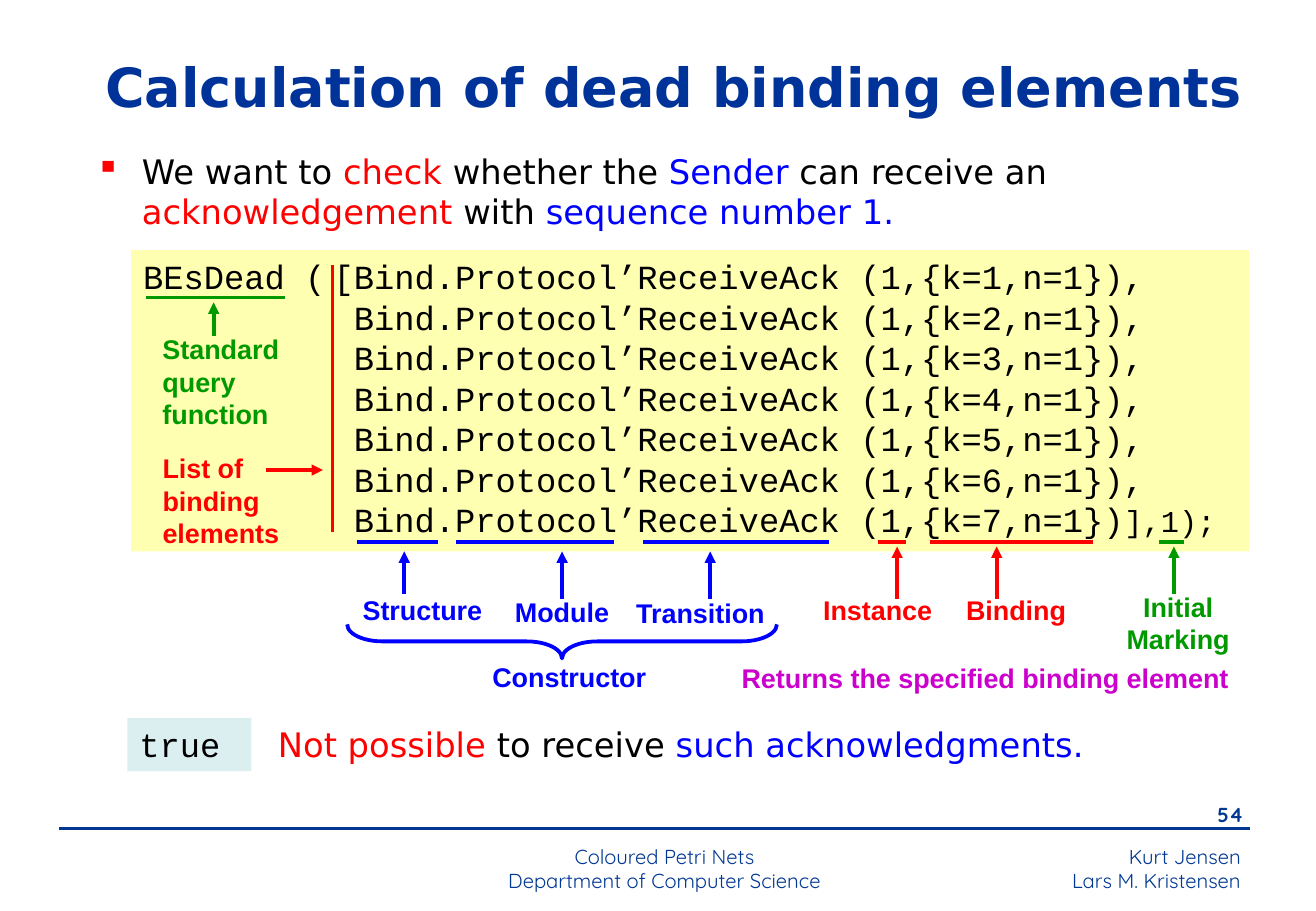
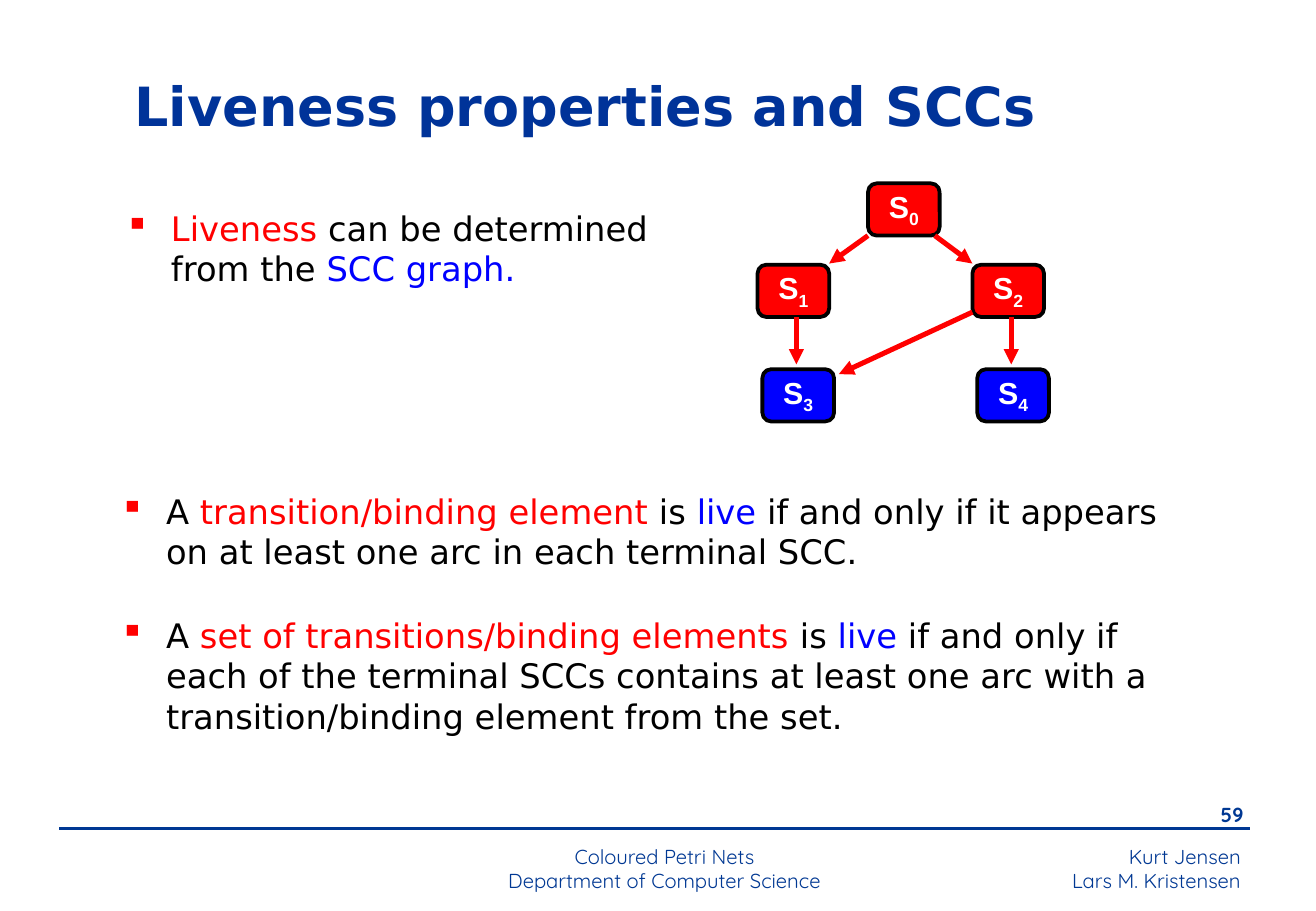
"""Build two slides on dead binding elements and liveness."""
from dataclasses import dataclass
from typing import NamedTuple

from lxml.etree import SubElement
from pptx import Presentation
from pptx.dml.color import RGBColor
from pptx.enum.shapes import MSO_CONNECTOR as Link, MSO_SHAPE as Form
from pptx.enum.text import MSO_ANCHOR as Anchor, PP_ALIGN as Align
from pptx.oxml.ns import qn
from pptx.util import Emu, Pt

SCALE = 9144
WIDE, HIGH = 1084, 750
BLACK, WHITE = "000000", "FFFFFF"
RED, BLUE, GREEN, PINK = "FF0000", "0000FF", "009900", "CC00CC"
NAVY, INK = "003399", "003893"
YELLOW, TEAL = "FFFF66", "BBE0E3"
BULLET = "▪"
HANG = 38
STOP = 157

STYLES = {
    "title": {"name": "DejaVu Sans", "size": Pt(32), "bold": True},
    "body": {"name": "DejaVu Sans", "size": Pt(20), "bold": False},
    "code": {"name": "Courier New", "size": Pt(20), "bold": False},
    "label": {"name": "Arial", "size": Pt(16), "bold": True},
    "node": {"name": "Arial", "size": Pt(18), "bold": True},
    "foot": {"name": "Quicksand", "size": Pt(12), "bold": False},
    "page": {"name": "Quicksand", "size": Pt(12), "bold": True},
}


class Run(NamedTuple):
    """A piece of text in one colour."""
    text: str
    color: str = BLACK
    size: int = 0
    base: int = 0


@dataclass
class Box:
    """A place for text, with an optional form and fill."""
    x: int
    y: int
    w: int
    h: int
    rows: list[list[Run]]
    style: str = "body"
    align: Align = Align.LEFT
    anchor: Anchor = Anchor.TOP
    mark: bool = False
    form: Form | None = None
    fill: str = ""
    alpha: int = 100
    edge: str = ""
    stop: int = 0
    pitch: float = 1.0
    wrap: bool = True


class Line(NamedTuple):
    """A straight line, with or without an arrowhead."""
    x1: int
    y1: int
    x2: int
    y2: int
    color: str
    width: float = 2.25
    arrow: bool = False


def px(count: int) -> Emu:
    """Turn px into EMU."""
    return Emu(count * SCALE)


def tint(code: str) -> RGBColor:
    """Turn a hex string into a colour."""
    return RGBColor.from_string(code)


def write(par, runs: list[Run], style: str) -> None:
    """Add styled runs to a paragraph."""
    for item in runs:
        run = par.add_run()
        run.text = item.text
        for key, value in STYLES[style].items():
            setattr(run.font, key, value)
        run.font.color.rgb = tint(item.color)
        if item.size:
            run.font.size = Pt(item.size)
        if item.base:
            run._r.get_or_add_rPr().set("baseline", str(item.base * 1000))


def dent(par, box: Box) -> None:
    """Set the bullet and the tab stop of a paragraph."""
    props = par._p.get_or_add_pPr()
    if box.mark:
        props.set("marL", str(px(HANG)))
        props.set("indent", str(-px(HANG)))
        paint = SubElement(props, qn("a:buClr"))
        SubElement(paint, qn("a:srgbClr"), val=RED)
        SubElement(props, qn("a:buChar"), char=BULLET)
    if box.stop:
        tabs = SubElement(props, qn("a:tabLst"))
        SubElement(tabs, qn("a:tab"), pos=str(px(box.stop)), algn="l")


def dress(shape, box: Box) -> None:
    """Set the fill and edge of a shape."""
    shape.shadow.inherit = False
    shape.fill.solid()
    shape.fill.fore_color.rgb = tint(box.fill)
    if box.alpha < 100:
        paint = shape._element.spPr.find(qn("a:solidFill")).find(qn("a:srgbClr"))
        SubElement(paint, qn("a:alpha"), val=str(box.alpha * 1000))
    if box.edge:
        shape.line.color.rgb = tint(box.edge)
        shape.line.width = Pt(2.25)
    else:
        shape.line.fill.background()


def place(slide, box: Box) -> None:
    """Draw a box and its text."""
    spot = [px(n) for n in (box.x, box.y, box.w, box.h)]
    if box.form is None:
        shape = slide.shapes.add_textbox(*spot)
    else:
        shape = slide.shapes.add_shape(box.form, *spot)
        dress(shape, box)
    frame = shape.text_frame
    frame.word_wrap = box.wrap
    frame.vertical_anchor = box.anchor
    for num, runs in enumerate(box.rows):
        par = frame.add_paragraph() if num else frame.paragraphs[0]
        par.alignment = box.align
        if box.pitch != 1:
            par.line_spacing = box.pitch
        dent(par, box)
        write(par, runs, box.style)


def rule(slide, line: Line) -> None:
    """Draw a line or an arrow."""
    ends = [px(n) for n in line[:4]]
    shape = slide.shapes.add_connector(Link.STRAIGHT, *ends)
    shape.line.color.rgb = tint(line.color)
    shape.line.width = Pt(line.width)
    if line.arrow:
        SubElement(shape.line._get_or_add_ln(), qn("a:tailEnd"), type="triangle")
    SubElement(shape._element.spPr, qn("a:effectLst"))


def label(slide, x: int, y: int, w: int, h: int, color: str, *rows: str,
          align: Align = Align.CENTER) -> None:
    """Draw a bold label."""
    place(slide, Box(x, y, w, h, [[Run(row, color)] for row in rows], "label", align))


def brace(slide) -> None:
    """Draw the brace under the parts of the constructor."""
    shape = slide.shapes.add_shape(Form.LEFT_BRACE, *[px(n) for n in (449, 351, 28, 354)])
    shape.rotation = 270
    shape.adjustments[0] = 1.04
    shape.shadow.inherit = False
    shape.fill.background()
    shape.line.color.rgb = tint(BLUE)
    shape.line.width = Pt(2.25)


def start(deck, title: Box, page: str):
    """Add a slide with its title and footer."""
    slide = deck.slides.add_slide(deck.slide_layouts[6])
    names = ["Kurt Jensen", "Lars M. Kristensen"]
    course = ["Coloured Petri Nets", "Department of Computer Science"]
    place(slide, Box(695, 690, 337, 50, [[Run(n, INK)] for n in names], "foot", Align.RIGHT))
    place(slide, Box(963, 656, 71, 33, [[Run(page, INK)]], "page", Align.RIGHT))
    rule(slide, Line(49, 682, 1030, 682, INK, 1.5))
    place(slide, Box(341, 690, 413, 47, [[Run(n, INK)] for n in course], "foot", Align.CENTER))
    place(slide, title)
    return slide


def head(x: int, y: int, w: int, text: str) -> Box:
    """Make a title box."""
    return Box(x, y, w, 69, [[Run(text, NAVY)]], "title", anchor=Anchor.MIDDLE)


def dead(deck) -> None:
    """Draw the slide on dead binding elements."""
    slide = start(deck, head(77, 36, 981, "Calculation of dead binding elements"), "54")
    place(slide, Box(69, 119, 882, 83, [[
        Run("We want to "), Run("check", RED), Run(" whether the "),
        Run("Sender", BLUE), Run(" can receive an "),
        Run("acknowledgement", RED), Run(" with "),
        Run("sequence number 1.", BLUE)]], mark=True))

    last = 7
    code = []
    for k in range(1, last + 1):
        lead = "BEsDead (\t[" if k == 1 else "\t "
        tail = "" if k == last else ","
        code.append([Run(f"{lead}Bind.Protocol’ReceiveAck (1,{{k={k},n=1}}){tail}")])
    code[-1].append(Run("],1);", size=18))
    place(slide, Box(108, 206, 921, 248, code, "code", form=Form.RECTANGLE,
                     fill=YELLOW, alpha=50, stop=STOP))

    for left, right, color in [(294, 361, BLUE), (376, 506, BLUE), (530, 683, BLUE),
                               (723, 746, RED), (766, 900, RED), (955, 975, GREEN)]:
        rule(slide, Line(left, 446, right, 446, color))
    for x, low, top, color in [(333, 489, 454, BLUE), (463, 493, 454, BLUE),
                               (585, 493, 454, BLUE), (739, 493, 450, RED),
                               (821, 493, 450, RED), (967, 489, 450, GREEN),
                               (176, 277, 249, GREEN)]:
        rule(slide, Line(x, low, x, top, color, arrow=True))
    rule(slide, Line(120, 245, 235, 245, GREEN))
    rule(slide, Line(219, 387, 266, 387, RED, arrow=True))
    rule(slide, Line(274, 438, 274, 218, RED))
    brace(slide)

    label(slide, 285, 484, 126, 37, BLUE, "Structure")
    label(slide, 400, 485, 126, 37, BLUE, "Module")
    label(slide, 498, 486, 158, 37, BLUE, "Transition")
    label(slide, 392, 539, 154, 37, BLUE, "Constructor")
    label(slide, 660, 484, 126, 37, RED, "Instance")
    label(slide, 774, 484, 126, 37, RED, "Binding")
    label(slide, 896, 481, 149, 64, GREEN, "Initial", "Marking")
    label(slide, 124, 269, 134, 90, GREEN, "Standard query function", align=Align.LEFT)
    label(slide, 124, 367, 118, 90, RED, "List of binding elements", align=Align.LEFT)
    label(slide, 601, 540, 441, 37, PINK, "Returns the specified binding element",
          align=Align.LEFT)

    place(slide, Box(105, 591, 102, 44, [[Run("true")]], "code",
                     form=Form.RECTANGLE, fill=TEAL, alpha=50))
    place(slide, Box(219, 591, 788, 51, [[
        Run("Not possible", RED), Run(" to receive "),
        Run("such acknowledgments.", BLUE)]]))


def live(deck) -> None:
    """Draw the slide on liveness."""
    slide = start(deck, head(101, 52, 831, "Liveness properties and SCCs"), "59")
    place(slide, Box(93, 166, 508, 90, [[
        Run("Liveness ", RED), Run("can be determined from the "),
        Run("SCC graph.", BLUE)]], mark=True))

    nodes = [(715, 151, RED), (624, 218, RED), (801, 218, RED),
             (628, 304, BLUE), (805, 304, BLUE)]
    for num, (x, y, color) in enumerate(nodes):
        name = [Run("S", WHITE), Run(str(num), WHITE, base=-25)]
        place(slide, Box(x, y, 59, 43, [name], "node", Align.CENTER, Anchor.MIDDLE,
                         form=Form.ROUNDED_RECTANGLE, fill=color, edge=BLACK,
                         pitch=0.7, wrap=False))
    for ends in [(715, 194, 683, 217), (770, 194, 801, 217), (656, 261, 656, 300),
                 (833, 261, 833, 300), (801, 257, 691, 308)]:
        rule(slide, Line(*ends, RED, 3, True))

    place(slide, Box(89, 399, 910, 91, [[
        Run("A "), Run("transition/binding element", RED), Run(" is "), Run("live", BLUE),
        Run(" if and only if it appears on at least one arc in each terminal SCC.")]],
        mark=True))
    place(slide, Box(89, 501, 910, 114, [[
        Run("A "), Run("set of transitions/binding elements", RED), Run(" is "),
        Run("live", BLUE),
        Run(" if and only if each of the terminal SCCs contains at least one arc "
            "with a transition/binding element from the set.")]], mark=True))


def main() -> None:
    """Build and save the deck."""
    deck = Presentation()
    deck.slide_width, deck.slide_height = px(WIDE), px(HIGH)
    dead(deck)
    live(deck)
    deck.save("out.pptx")


if __name__ == "__main__":
    main()
